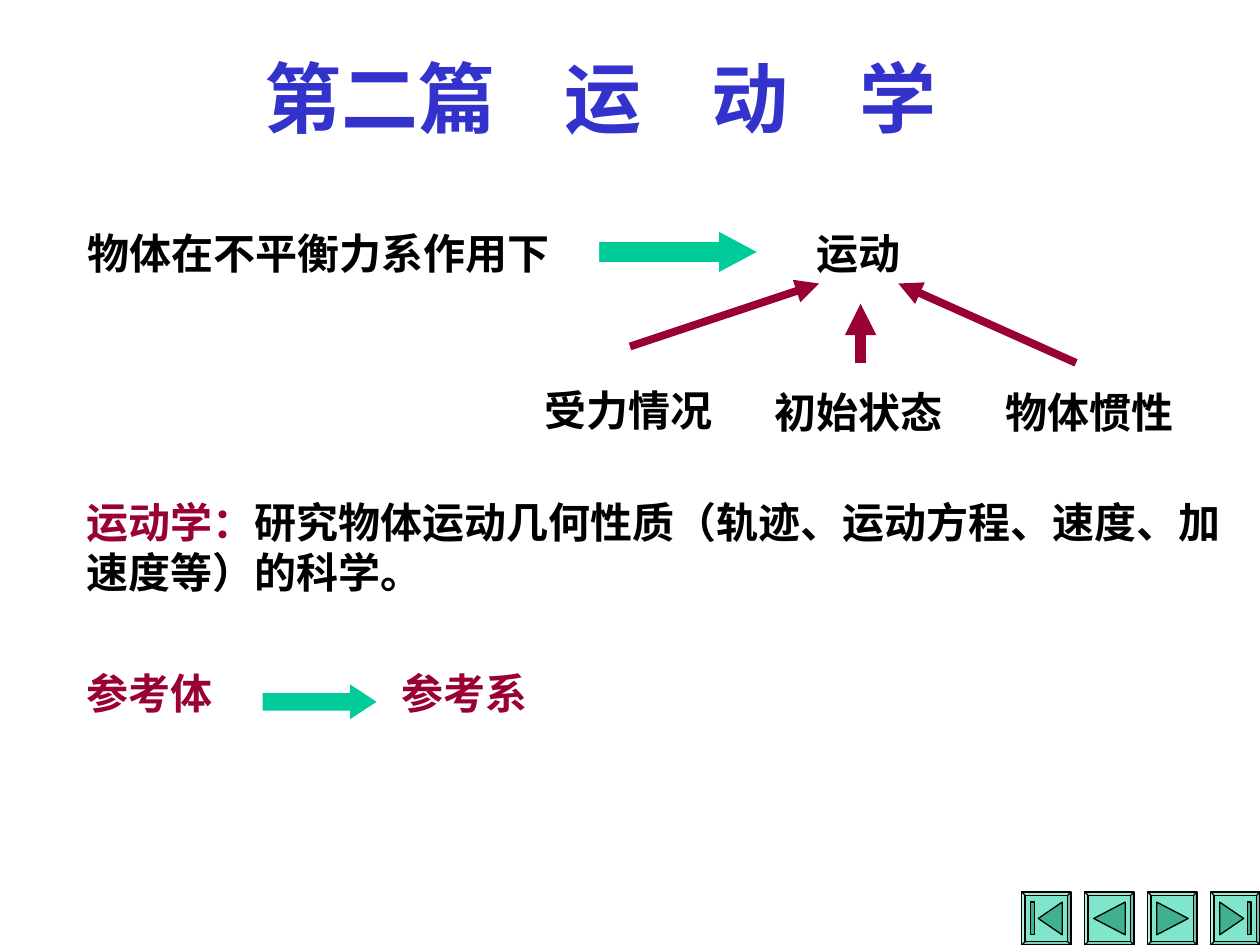
"""Build the opening slide of the kinematics part."""
from lxml import etree
from pptx import Presentation
from pptx.dml.color import RGBColor
from pptx.enum.shapes import MSO_CONNECTOR, MSO_SHAPE
from pptx.enum.text import MSO_AUTO_SIZE
from pptx.oxml.ns import qn
from pptx.util import Inches, Pt

STRAIGHT = MSO_CONNECTOR.STRAIGHT
RIGHT_ARROW = MSO_SHAPE.RIGHT_ARROW
BEVEL = MSO_SHAPE.BEVEL
FIT_SHAPE = MSO_AUTO_SIZE.SHAPE_TO_FIT_TEXT
FONT = "Noto Sans CJK SC"
COLORS = {"blue": "3333CC", "red": "990033", "black": "000000",
          "green": "00CC99", "icon": "40B090", "white": "FFFFFF"}


def add_text(x, y, w, h, runs, size=24, wrap=False, tabs=()):
    tf = slide.shapes.add_textbox(Inches(x), Inches(y), Inches(w), Inches(h)).text_frame
    tf.word_wrap = wrap
    tf.auto_size = FIT_SHAPE
    p = tf.paragraphs[0]
    if tabs:
        tab_list = etree.SubElement(p._p.get_or_add_pPr(), qn("a:tabLst"))
        for pos in tabs:
            etree.SubElement(tab_list, qn("a:tab"), pos=str(Inches(pos)), algn="l")
    for text, color in runs:
        r = p.add_run()
        r.text = text
        r.font.size = Pt(size)
        r.font.bold = True
        r.font.color.rgb = RGBColor.from_string(COLORS[color])
        r.font.name = FONT
        etree.SubElement(r._r.get_or_add_rPr(), qn("a:ea"), typeface=FONT)


def style(sp, fill, line):
    sp.shadow.inherit = False
    sp.fill.solid()
    sp.fill.fore_color.rgb = RGBColor.from_string(COLORS[fill])
    sp.line.color.rgb = RGBColor.from_string(COLORS[line])
    sp.line.width = Pt(0.75)


prs = Presentation()
prs.slide_width, prs.slide_height = Inches(10), Inches(7.5)
slide = prs.slides.add_slide(prs.slide_layouts[6])

bar_left = [(0.07, 0.08), (0.1, 0.08), (0.1, 0.34), (0.07, 0.34)]
bar_right = [(0.29, 0.08), (0.32, 0.08), (0.32, 0.34), (0.29, 0.34)]
buttons = [
    [[(0.13, 0.21), (0.32, 0.08), (0.32, 0.34)], bar_left],
    [[(0.07, 0.21), (0.32, 0.08), (0.32, 0.34)]],
    [[(0.07, 0.08), (0.32, 0.21), (0.07, 0.34)]],
    [[(0.07, 0.08), (0.26, 0.21), (0.07, 0.34)], bar_right],
]
top = 7.08
for i, icons in enumerate(buttons):
    left = 8.11 + 0.5 * i
    sp = slide.shapes.add_shape(BEVEL, Inches(left), Inches(top), Inches(0.39), Inches(0.42))
    sp.adjustments[0] = 0.065
    style(sp, "green", "black")
    color = sp._element.spPr.find(qn("a:solidFill"))[0]
    etree.SubElement(color, qn("a:alpha"), val="50000")
    for icon in icons:
        points = [(Inches(left + x), Inches(top + y)) for x, y in icon]
        builder = slide.shapes.build_freeform(*points[0])
        builder.add_line_segments(points[1:], close=True)
        style(builder.convert_to_shape(), "icon", "black")

add_text(2, 0.35, 5.53, 0.84, [("第二篇\t运\t动\t学", "blue")], size=44,
         tabs=(2.38, 3.55, 4.72))
add_text(0.59, 3.89, 9.41, 0.9,
         [("运动学：", "red"),
          ("研究物体运动几何性质（轨迹、运动方程、速度、加速度等）的科学。", "black")],
         wrap=True)

labels = [
    (0.6, 1.76, 3.9, "物体在不平衡力系作用下", "black"),
    (6.38, 1.76, 0.9, "运动", "black"),
    (4.22, 3, 1.56, "受力情况", "black"),
    (6.05, 3.02, 1.56, "初始状态", "black"),
    (7.88, 3.02, 1.56, "物体惯性", "black"),
    (0.59, 5.25, 1.23, "参考体", "red"),
    (3.09, 5.25, 1.23, "参考系", "red"),
]
for x, y, w, text, color in labels:
    add_text(x, y, w, 0.5, [(text, color)])

for x, y, w, h, head in [(4.75, 1.83, 1.27, 0.34, 0.94), (2.08, 5.42, 0.92, 0.3, 0.76)]:
    sp = slide.shapes.add_shape(RIGHT_ARROW, Inches(x), Inches(y), Inches(w), Inches(h))
    sp.adjustments[0], sp.adjustments[1] = 0.5, head
    style(sp, "green", "white")

causes = [(5, 2.75, 6.5, 2.25, 4.5), (6.83, 2.88, 6.83, 2.41, 6), (8.54, 2.88, 7.13, 2.25, 4.5)]
for x1, y1, x2, y2, width in causes:
    line = slide.shapes.add_connector(STRAIGHT, Inches(x1), Inches(y1), Inches(x2), Inches(y2))
    line.line.color.rgb = RGBColor.from_string(COLORS["red"])
    line.line.width = Pt(width)
    etree.SubElement(line.line._get_or_add_ln(), qn("a:tailEnd"), type="triangle")
    etree.SubElement(line._element.spPr, qn("a:effectLst"))

prs.save("out.pptx")
